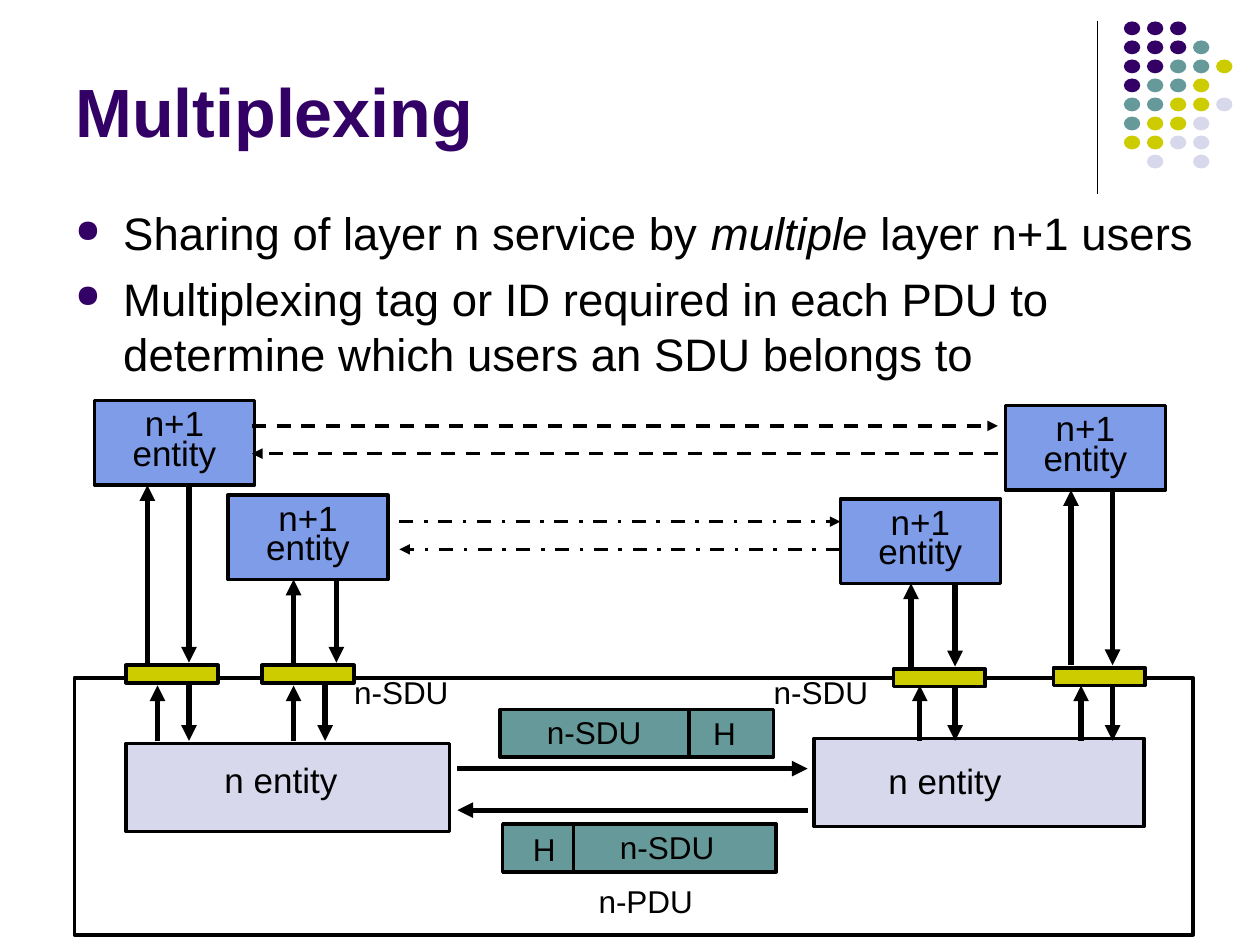
from dataclasses import dataclass

from lxml.etree import SubElement
from pptx import Presentation
from pptx.dml.color import RGBColor
from pptx.enum.dml import MSO_LINE
from pptx.enum.shapes import MSO_CONNECTOR, MSO_SHAPE
from pptx.enum.text import MSO_ANCHOR, PP_ALIGN
from pptx.oxml.ns import qn
from pptx.util import Inches, Pt

WIDTH, HEIGHT = Inches(10), Inches(7.5)
COLUMNS, ROWS = 100, 75
FONT = "Arial"
COLORS = {
    "black": "000000",
    "purple": "330066",
    "teal": "669999",
    "lime": "CCCC00",
    "lilac": "D8D8EC",
    "blue": "7E9CE8",
}
DOT_COLORS = {"P": "purple", "T": "teal", "L": "lime", "V": "lilac"}
DOT_ROWS = ["PPP", "PPPT", "PPTTL", "PTTL", "TTLLV", "TLLV", "LLVV", " V V"]

ENTITY_SIZE = (12.7, 6.7)
ACCESS_SIZE = (7.3, 1.4)
PDU_SIZE = (21.7, 3.8)
ACCESS_ARROW_ROWS = (54.4, 58.8)


@dataclass
class User:
    """An n+1 entity, its access point, and the columns of its arrows."""
    entity: tuple
    access: tuple
    upper_up: float
    upper_down: float
    lower_up: float
    lower_down: float


USERS = [
    User((7.5, 31.8), (10, 52.8), 11.7, 15, 12.5, 15),
    User((18.1, 39.3), (20.8, 52.8), 23.3, 26.7, 23.3, 25.8),
    User((66.7, 39.6), (70.9, 53.1), 72.3, 75.8, 73, 75.8),
    User((79.8, 32.2), (83.6, 53), 85, 88.3, 85.8, 88.3),
]


def across(columns):
    return round(WIDTH * columns / COLUMNS)


def down(rows):
    return round(HEIGHT * rows / ROWS)


def area(position, size):
    return across(position[0]), down(position[1]), across(size[0]), down(size[1])


def color(name):
    return RGBColor.from_string(COLORS[name])


def style_span(span, size, color_name="black", bold=False, italic=False):
    span.font.name = FONT
    span.font.size = Pt(size)
    span.font.color.rgb = color(color_name)
    span.font.bold = bold
    span.font.italic = italic


def add_box(page, position, size, fill=None, outlined=True, kind=MSO_SHAPE.RECTANGLE):
    box = page.shapes.add_shape(kind, *area(position, size))
    box.shadow.inherit = False
    if fill:
        box.fill.solid()
        box.fill.fore_color.rgb = color(fill)
    else:
        box.fill.background()
    if outlined:
        box.line.color.rgb = color("black")
        box.line.width = Pt(2)
    else:
        box.line.fill.background()
    return box


def write_centered(box, text, size, spacing=1.0):
    frame = box.text_frame
    frame.text = text
    frame.vertical_anchor = MSO_ANCHOR.MIDDLE
    for paragraph in frame.paragraphs:
        paragraph.alignment = PP_ALIGN.CENTER
        paragraph.line_spacing = spacing
        for span in paragraph.runs:
            style_span(span, size)


def add_label(page, text, position, size, points=18, spacing=1.0):
    box = page.shapes.add_textbox(*area(position, size))
    box.text_frame.word_wrap = False
    write_centered(box, text, points, spacing)


def add_line(page, start, end, width, dash=None, arrow=False):
    line = page.shapes.add_connector(
        MSO_CONNECTOR.STRAIGHT,
        across(start[0]), down(start[1]), across(end[0]), down(end[1]))
    line.line.color.rgb = color("black")
    line.line.width = Pt(width)
    if dash:
        line.line.dash_style = dash
    if arrow:
        SubElement(line.line._get_or_add_ln(), qn("a:tailEnd"), type="triangle")
    SubElement(line._element.spPr, qn("a:effectLst"))


def add_arrow(page, start, end, width=3, dash=None):
    add_line(page, start, end, width, dash, arrow=True)


def add_arrow_pair(page, up_column, down_column, top, bottom):
    add_arrow(page, (up_column, bottom), (up_column, top))
    add_arrow(page, (down_column, top), (down_column, bottom))


def add_dot_grid(page):
    add_line(page, (87.1, 1.7), (87.1, 15.4), 0.75)
    for row, codes in enumerate(DOT_ROWS):
        for column, code in enumerate(codes):
            if code in DOT_COLORS:
                position = (89.2 + 1.83 * column, 1.7 + 1.51 * row)
                add_box(page, position, (1.3, 1.1), DOT_COLORS[code], False, MSO_SHAPE.OVAL)


def add_title(page, text):
    frame = page.shapes.add_textbox(*area((5, 1.3), (82.5, 11.2))).text_frame
    frame.word_wrap = True
    frame.vertical_anchor = MSO_ANCHOR.BOTTOM
    frame.text = text
    style_span(frame.paragraphs[0].runs[0], 39, "purple", bold=True)


def add_bullet(paragraph):
    properties = paragraph._p.get_or_add_pPr()
    properties.set("marL", str(Inches(0.38)))
    properties.set("indent", str(-Inches(0.38)))
    bullet_color = SubElement(properties, qn("a:buClr"))
    SubElement(bullet_color, qn("a:srgbClr"), val=COLORS["purple"])
    SubElement(properties, qn("a:buSzPct"), val="70000")
    SubElement(properties, qn("a:buChar"), char="●")


def add_bullets(page, items):
    """Write one bullet per item; an item is a list of (text, italic) spans."""
    frame = page.shapes.add_textbox(*area((5, 15.8), (93.3, 16.7))).text_frame
    frame.word_wrap = True
    for index, item in enumerate(items):
        paragraph = frame.add_paragraph() if index else frame.paragraphs[0]
        add_bullet(paragraph)
        if index:
            paragraph.space_before = Pt(6.5)
        for text, italic in item:
            span = paragraph.add_run()
            span.text = text
            style_span(span, 26, italic=italic)


def add_user(page, user):
    entity = add_box(page, user.entity, ENTITY_SIZE, "blue")
    write_centered(entity, "n+1\nentity", 20, 0.7)
    add_arrow_pair(page, user.upper_up, user.upper_down,
                   user.entity[1] + ENTITY_SIZE[1], user.access[1] - 0.2)
    add_arrow_pair(page, user.lower_up, user.lower_down, *ACCESS_ARROW_ROWS)
    add_box(page, user.access, ACCESS_SIZE, "lime")


def add_pdu(page, position, divider, data_label, header_label):
    add_box(page, position, PDU_SIZE, "teal")
    add_line(page, (divider, position[1]), (divider, position[1] + PDU_SIZE[1]), 2)
    add_label(page, "n-SDU", data_label, (9.5, 4))
    add_label(page, "H", header_label, (3.8, 4))


def add_exchange(page, left, right, rows, width, dash=None):
    """Draw an arrow to the right with an arrow back below it."""
    add_arrow(page, (left, rows[0]), (right, rows[0]), width, dash)
    add_arrow(page, (right, rows[1]), (left, rows[1]), width, dash)


def main():
    deck = Presentation()
    deck.slide_width, deck.slide_height = WIDTH, HEIGHT
    page = deck.slides.add_slide(deck.slide_layouts[6])

    add_dot_grid(page)
    add_title(page, "Multiplexing")
    add_bullets(page, [
        [("Sharing of layer n service by ", False), ("multiple", True),
         (" layer n+1 users", False)],
        [("Multiplexing tag or ID required in each PDU to determine "
          "which users an SDU belongs to", False)],
    ])

    add_box(page, (5.9, 53.8), (88.8, 20.4))
    add_box(page, (10, 59), (25.7, 7), "lilac")
    add_box(page, (64.6, 58.6), (26.2, 7), "lilac")
    for user in USERS:
        add_user(page, user)
    for position in [(16.8, 60.4), (69.5, 60.5)]:
        add_label(page, "n entity", position, (11, 3.6), 20, 0.8)

    add_pdu(page, (39.7, 56.3), 54.7, (42.4, 56.1), (55.6, 56.2))
    add_pdu(page, (39.9, 65.4), 45.5, (48.2, 65.2), (41.3, 65.4))
    for column in (27.1, 60.4):
        add_label(page, "n-SDU", (column, 52.9), (9.5, 4))
    add_label(page, "n-PDU", (45, 69.5), (12.5, 4))

    add_exchange(page, 20, 79.2, (33.8, 36), 2, MSO_LINE.DASH)
    add_exchange(page, 31.7, 66.7, (41.4, 43.6), 2, MSO_LINE.DASH_DOT)
    add_exchange(page, 36.3, 64.1, (61, 64.3), 3)

    deck.save("out.pptx")


if __name__ == "__main__":
    main()
